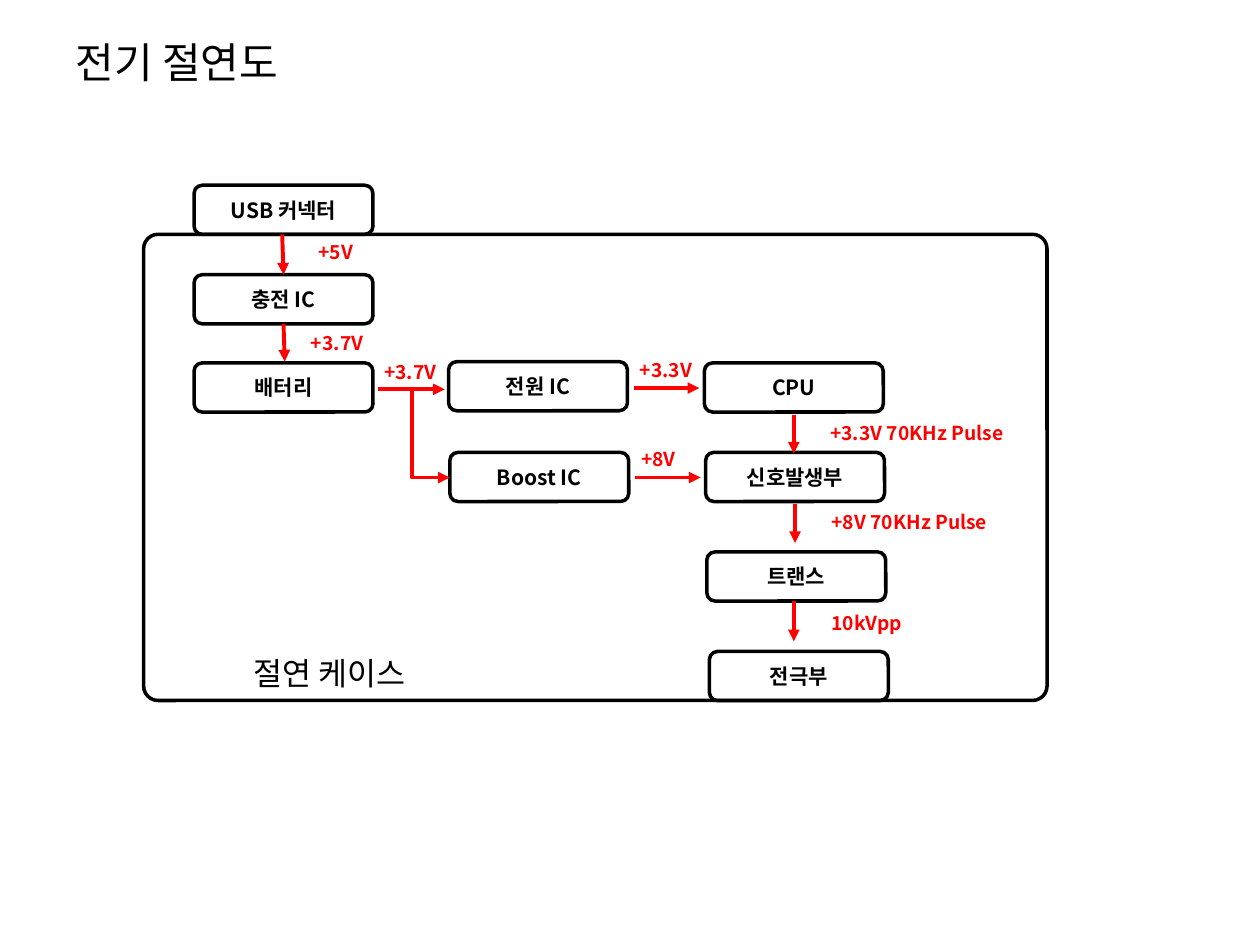
from pptx import Presentation
from pptx.dml.color import RGBColor as RGB
from pptx.enum.shapes import MSO_SHAPE as Shape, MSO_CONNECTOR as Conn
from pptx.enum.text import PP_ALIGN as Align, MSO_ANCHOR as Anchor, MSO_AUTO_SIZE as Auto
from pptx.oxml.ns import qn
from pptx.util import Inches, Pt
from lxml.etree import SubElement


class Theme:
    font = "Noto Sans CJK KR"
    ink, flow = RGB(0, 0, 0), RGB(255, 0, 0)
    title, case, node, label = 24, 18, 12, 11
    edge, wire = 2, 2.25


# Content: positions in inches
TITLE = "전기 절연도"
CASE = ("절연 케이스", 1.91, 5.14, 1.55, 0.4)
FRAME = (1.14, 1.86, 7.17, 3.7)
NODE_W, NODE_H, LABEL_H = 1.42, 0.39, 0.29
NODES = [  # text, left, top
    ("배터리", 1.54, 2.88),
    ("USB 커넥터", 1.54, 1.47),
    ("전극부", 5.63, 5.17),
    ("충전 IC", 1.54, 2.18),
    ("전원 IC", 3.56, 2.87),
    ("Boost IC", 3.57, 3.59),
    ("CPU", 5.59, 2.88),
    ("신호발생부", 5.6, 3.59),
    ("트랜스", 5.61, 4.38),
]
FLOWS = [  # arrow from x, y to x, y; label text, left, top, width
    ((2.24, 1.86, 2.25, 2.18), ("+5V", 2.43, 1.86, 0.51)),
    ((2.25, 2.57, 2.26, 2.87), ("+3.7V", 2.37, 2.58, 0.63)),
    ((3, 3.09, 3.53, 3.09), ("+3.7V", 2.95, 2.81, 0.63)),
    ((5.03, 3.08, 5.55, 3.08), ("+3.3V", 4.98, 2.79, 0.63)),
    ((5.04, 3.79, 5.56, 3.79), ("+8V", 4.99, 3.5, 0.51)),
    ((6.31, 4, 6.31, 4.31), ("+8V 70KHz Pulse", 6.5, 4, 1.47)),
    ((6.3, 3.29, 6.3, 3.6), ("+3.3V 70KHz Pulse", 6.49, 3.29, 1.6)),
    ((6.3, 4.77, 6.3, 5.09), ("10kVpp", 6.5, 4.8, 0.76)),
]
BRANCH = (3.27, 3.09, 3.57, 3.79)  # battery line down to Boost IC


def inches(*nums):
    return [Inches(n) for n in nums]


def write(frame, text, size, color, bold=False, align=Align.LEFT):
    para = frame.paragraphs[0]
    para.alignment = align
    run = para.add_run()
    run.text = text
    font = run.font
    font.name, font.size, font.bold = Theme.font, Pt(size), bold
    font.color.rgb = color
    SubElement(font._element, qn("a:ea"), typeface=Theme.font)


def add_box(slide, box, adj=None):
    shape = slide.shapes.add_shape(Shape.ROUNDED_RECTANGLE, *inches(*box))
    shape.shadow.inherit = False
    shape.fill.background()
    shape.line.color.rgb = Theme.ink
    shape.line.width = Pt(Theme.edge)
    if adj is not None:
        shape.adjustments[0] = adj
    return shape


def add_note(slide, text, box, size, color, bold=False):
    frame = slide.shapes.add_textbox(*inches(*box)).text_frame
    frame.word_wrap = False
    frame.auto_size = Auto.SHAPE_TO_FIT_TEXT
    write(frame, text, size, color, bold)


def add_arrow(slide, ends, kind=Conn.STRAIGHT):
    arrow = slide.shapes.add_connector(kind, *inches(*ends))
    arrow.line.color.rgb = Theme.flow
    arrow.line.width = Pt(Theme.wire)
    SubElement(arrow.line._get_or_add_ln(), qn("a:tailEnd"), type="triangle")
    SubElement(arrow._element.spPr, qn("a:effectLst"))
    return arrow


def add_elbow(slide, ends):
    # Down then right: a one-bend connector, turned and mirrored about its centre
    x1, y1, x2, y2 = ends
    cx, cy = (x1 + x2) / 2, (y1 + y2) / 2
    dx, dy = (y2 - y1) / 2, (x2 - x1) / 2
    elbow = add_arrow(slide, (cx - dx, cy - dy, cx + dx, cy + dy), Conn.ELBOW)
    props = elbow._element.spPr
    props.find(qn("a:prstGeom")).set("prst", "bentConnector2")
    turn = props.find(qn("a:xfrm"))
    turn.set("rot", str(270 * 60000))
    turn.set("flipH", "1")


def main():
    deck = Presentation()
    deck.slide_width, deck.slide_height = inches(10, 7.5)
    slide = deck.slides.add_slide(deck.slide_layouts[5])

    # Case outline and title
    add_box(slide, FRAME, 0.031)
    title = slide.shapes.title
    title.left, title.top, title.width, title.height = inches(0.5, 0.3, 9, 0.38)
    title.text_frame.vertical_anchor = Anchor.MIDDLE
    title.text_frame.auto_size = Auto.NONE
    write(title.text_frame, TITLE, Theme.title, Theme.ink)

    # Circuit blocks
    for text, left, top in NODES:
        frame = add_box(slide, (left, top, NODE_W, NODE_H)).text_frame
        frame.vertical_anchor = Anchor.MIDDLE
        write(frame, text, Theme.node, Theme.ink, True, Align.CENTER)

    # Power and signal flows
    for ends, (text, left, top, width) in FLOWS:
        add_arrow(slide, ends)
        add_note(slide, text, (left, top, width, LABEL_H), Theme.label, Theme.flow, True)
    add_elbow(slide, BRANCH)

    # Case caption
    add_note(slide, CASE[0], CASE[1:], Theme.case, Theme.ink)
    deck.save("out.pptx")


if __name__ == "__main__":
    main()
